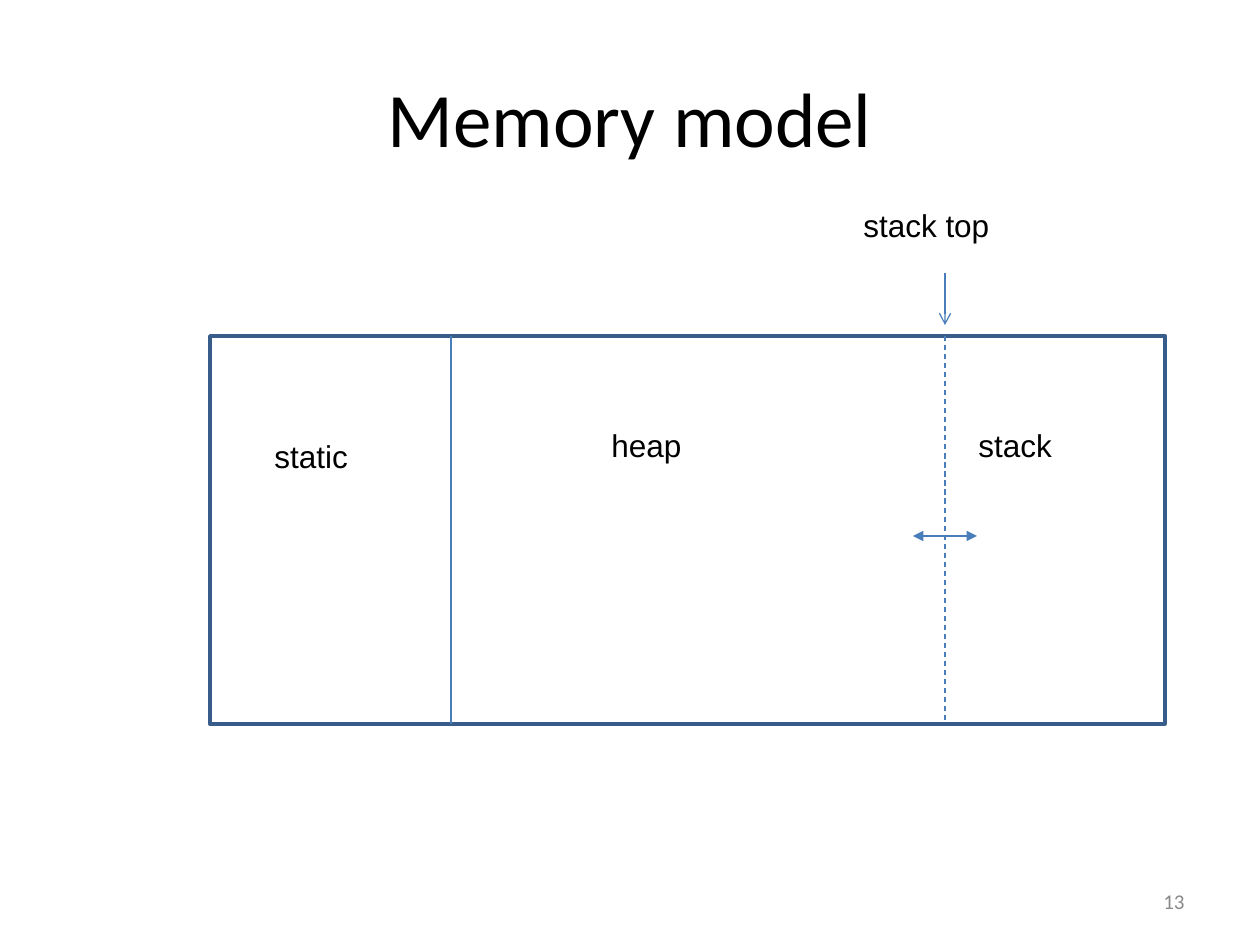
from dataclasses import dataclass

from lxml import etree
from pptx import Presentation
from pptx.dml.color import RGBColor
from pptx.enum.dml import MSO_LINE
from pptx.enum.shapes import MSO_CONNECTOR, MSO_SHAPE
from pptx.enum.text import MSO_ANCHOR, PP_ALIGN
from pptx.oxml.ns import qn
from pptx.util import Pt

PX = 914400 / 126  # EMU per px
LEFT, CENTER, RIGHT = PP_ALIGN.LEFT, PP_ALIGN.CENTER, PP_ALIGN.RIGHT
TOP, MIDDLE = MSO_ANCHOR.TOP, MSO_ANCHOR.MIDDLE
STRAIGHT = MSO_CONNECTOR.STRAIGHT
RECT = MSO_SHAPE.RECTANGLE
DASH = MSO_LINE.DASH


@dataclass(frozen=True)
class Theme:
    ink: str = "000000"
    muted: str = "898989"
    frame: str = "385D8A"
    line: str = "4A7EBB"
    heading_font: str = "Calibri"
    label_font: str = "Arial"
    title_size: int = 44
    label_size: int = 18
    number_size: int = 12
    frame_width: float = 2
    line_width: float = 0.75


THEME = Theme()


def px(*values):
    return [round(v * PX) for v in values]


def add_text(s, text, box, size=THEME.label_size, font=THEME.label_font,
             color=THEME.ink, align=LEFT, anchor=TOP):
    tf = s.shapes.add_textbox(*px(*box)).text_frame
    tf.word_wrap = True
    tf.vertical_anchor = anchor
    p = tf.paragraphs[0]
    p.alignment = align
    r = p.add_run()
    r.text = text
    r.font.size = Pt(size)
    r.font.name = font
    r.font.color.rgb = RGBColor.from_string(color)


def add_frame(s, box):
    sp = s.shapes.add_shape(RECT, *px(*box))
    sp.shadow.inherit = False
    sp.fill.background()
    sp.line.color.rgb = RGBColor.from_string(THEME.frame)
    sp.line.width = Pt(THEME.frame_width)


def add_line(s, start, end, dash=None, head=None, tail=None):
    sp = s.shapes.add_connector(STRAIGHT, *px(*start, *end))
    sp.line.color.rgb = RGBColor.from_string(THEME.line)
    sp.line.width = Pt(THEME.line_width)
    if dash:
        sp.line.dash_style = dash
    ln = sp.line._get_or_add_ln()
    for tag, kind in (("a:headEnd", head), ("a:tailEnd", tail)):
        if kind:
            etree.SubElement(ln, qn(tag), type=kind)
    etree.SubElement(sp._element.spPr, qn("a:effectLst"))


def main():
    prs = Presentation()
    prs.slide_width, prs.slide_height = px(1260, 945)
    s = prs.slides.add_slide(prs.slide_layouts[6])

    # Title and slide number
    add_text(s, "Memory model", (63, 38, 1134, 157), THEME.title_size,
             THEME.heading_font, align=CENTER, anchor=MIDDLE)
    add_text(s, "13", (903, 876, 294, 50), THEME.number_size,
             THEME.heading_font, THEME.muted, RIGHT, MIDDLE)

    # Memory block with its two boundaries
    left, top, width, height = 210, 336, 955, 388
    bottom = top + height
    static_end, stack_top = 451, 945
    add_frame(s, (left, top, width, height))
    add_line(s, (static_end, top), (static_end, bottom))
    add_line(s, (stack_top, top), (stack_top, bottom), dash=DASH)

    # Region and pointer labels
    for text, x, y, w in (("static", 262, 431, 147),
                          ("heap", 599, 420, 189),
                          ("stack", 966, 420, 168),
                          ("stack top", 851, 200, 252)):
        add_text(s, text, (x, y, w, 50))

    # Stack top pointer and its directions of movement
    add_line(s, (stack_top, 273), (stack_top, 325), tail="arrow")
    reach, move_y = 32, 536
    add_line(s, (stack_top - reach, move_y), (stack_top + reach, move_y),
             head="triangle", tail="triangle")

    prs.save("out.pptx")


if __name__ == "__main__":
    main()
